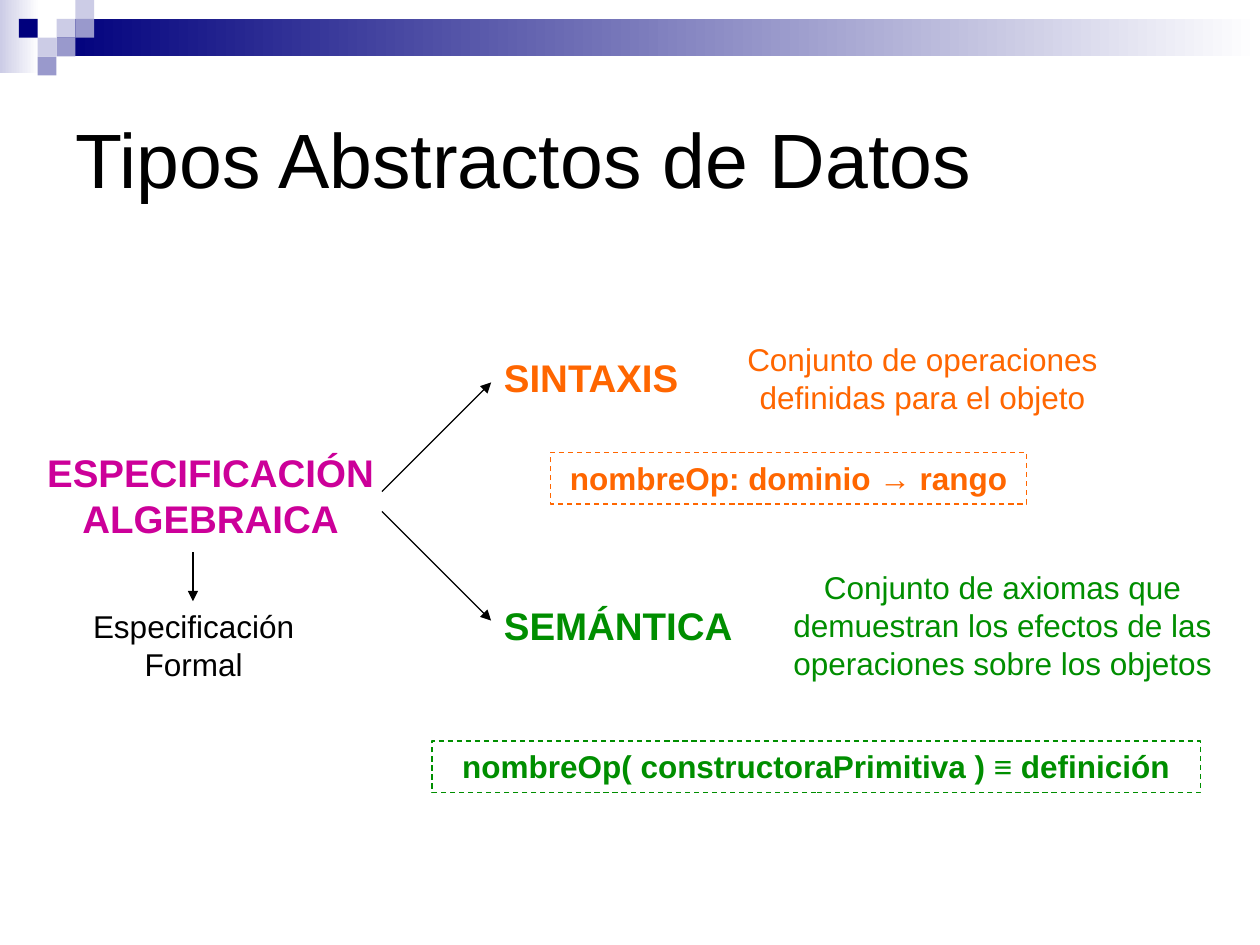
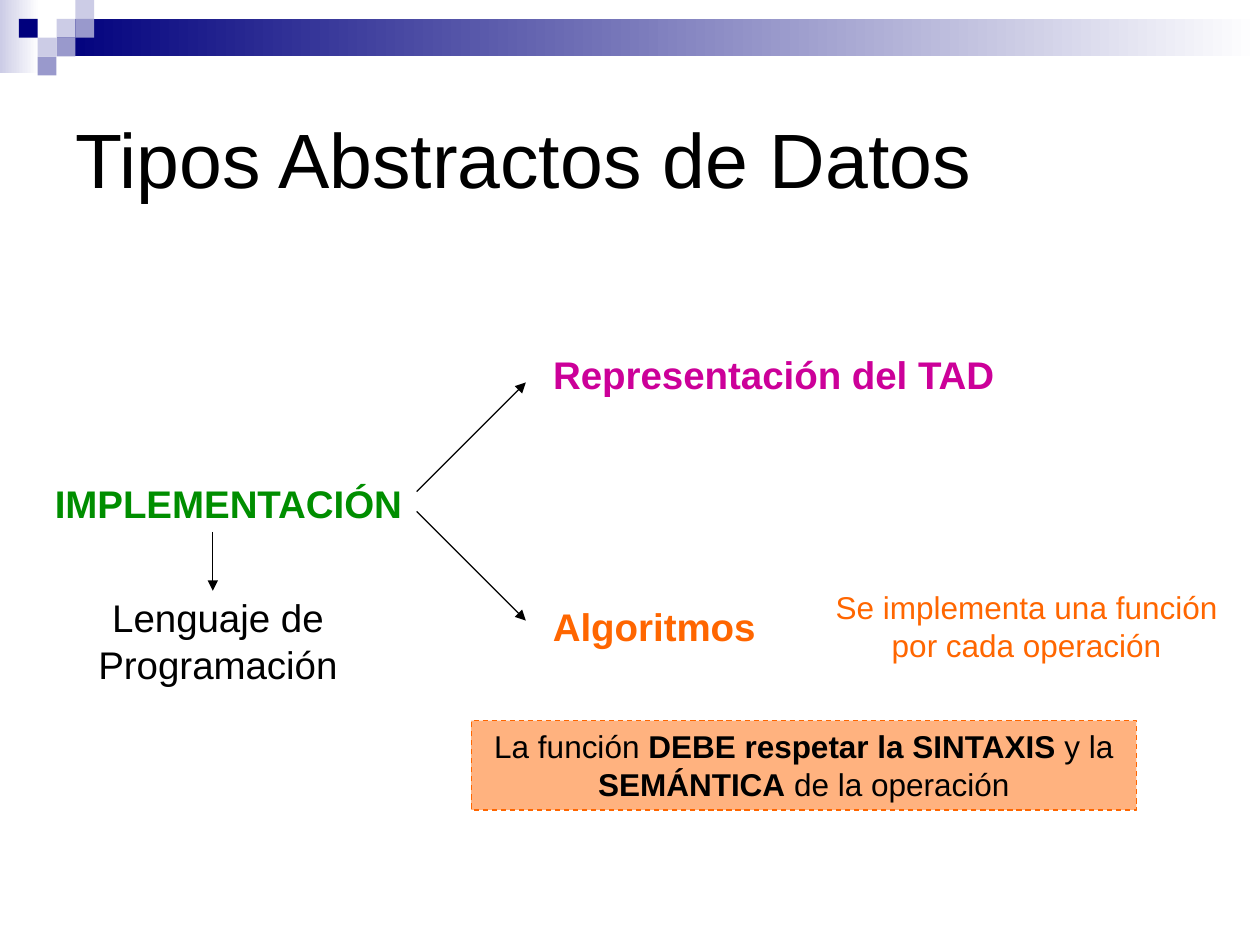
from dataclasses import dataclass

from lxml.etree import SubElement
from pptx import Presentation
from pptx.dml.color import RGBColor
from pptx.enum.dml import MSO_LINE
from pptx.enum.shapes import MSO_CONNECTOR, MSO_SHAPE
from pptx.enum.text import MSO_ANCHOR, MSO_AUTO_SIZE, PP_ALIGN
from pptx.oxml.ns import qn
from pptx.util import Cm, Pt


@dataclass(frozen=True)
class Theme:
    font: str = "Arial"
    title_size: int = 44
    label_size: int = 22
    note_size: int = 18
    line_width: float = 0.75
    black: str = "000000"
    white: str = "FFFFFF"
    orange: str = "FF6600"
    green: str = "008E00"
    magenta: str = "CC0099"
    navy: str = "00007D"
    lilac: str = "9999CC"
    pale: str = "CCCCE6"


THEME = Theme()
TITLE = "Tipos Abstractos de Datos"
TITLE_BOX = (1.27, 1.27, 22.86, 3.81)

# Header: gradient bars as (box, colour), squares as (column, row, colour)
HEADER_BARS = [
    ((0, 0, 0.79, 1.47), THEME.pale),
    ((1.14, 0.38, 24.26, 0.76), THEME.navy),
]
SQUARE = 0.38
HEADER_SQUARES = [
    (3, 1, THEME.pale), (4, 0, THEME.pale), (4, 1, THEME.lilac),
    (2, 2, THEME.pale), (1, 1, THEME.navy), (3, 2, THEME.lilac),
    (2, 3, THEME.lilac),
]

# Fork: two diagonal arrows leaving the main concept
FORK_UPPER, FORK_LOWER, FORK_REACH = 9.91, 10.31, 2.2

# Labels and notes: (box in cm, colour, paragraphs); asterisks enclose bold words
SLIDES = [
    {
        "concept": ((0.69, 8.92, 7.11, 2.11), THEME.magenta,
                    ["ESPECIFICACIÓN", "ALGEBRAICA"]),
        "branches": [
            ((9.91, 6.71, 4.19, 1.8), THEME.orange, ["SINTAXIS"]),
            ((9.91, 11.71, 5.3, 1.8), THEME.green, ["SEMÁNTICA"]),
        ],
        "branch_align": PP_ALIGN.LEFT,
        "notes": [
            ((13.49, 6.73, 10.21, 1.78), THEME.orange,
             ["Conjunto de operaciones definidas para el objeto"]),
            ((15.7, 11.33, 9.02, 2.54), THEME.green,
             ["Conjunto de axiomas que demuestran los efectos de las "
              "operaciones sobre los objetos"]),
            ((1.3, 12.12, 5.21, 1.78), THEME.black, ["Especificación Formal"]),
        ],
        "boxes": [
            ((11.1, 9.12, 9.6, 1.04), THEME.orange,
             ["*nombreOp: dominio → rango*"], None),
            ((8.71, 14.94, 15.49, 1.04), THEME.green,
             ["*nombreOp( constructoraPrimitiva ) ≡ definición*"], None),
        ],
        "fork_x": 7.7,
        "down_arrow": (3.89, 11.13, 12.12),
    },
    {
        "concept": ((0.81, 9.55, 7.59, 1.19), THEME.green, ["IMPLEMENTACIÓN"]),
        "branches": [
            ((9.3, 6.53, 12.6, 2.01), THEME.magenta, ["Representación del TAD"]),
            ((10.69, 11.73, 5, 1.8), THEME.orange, ["Algoritmos"]),
        ],
        "branch_align": PP_ALIGN.CENTER,
        "notes": [
            ((16.1, 11.73, 9.19, 1.78), THEME.orange,
             ["Se implementa una función por cada operación"]),
        ],
        "plain_label": ((1.5, 11.91, 5.79, 2.01), THEME.black,
                        ["Lenguaje de", "Programación"]),
        "boxes": [
            ((9.5, 14.53, 13.41, 1.8), THEME.black,
             ["La función *DEBE respetar la SINTAXIS* y la *SEMÁNTICA* "
              "de la operación"], THEME.orange),
        ],
        "fork_x": 8.4,
        "down_arrow": (4.29, 10.72, 11.91),
    },
]


def rgb(value):
    return RGBColor.from_string(value)


def lengths(box):
    return [Cm(value) for value in box]


def write(shape, paragraphs, color, size, align=PP_ALIGN.CENTER, bold=False,
          wrap=True, anchor=MSO_ANCHOR.TOP):
    frame = shape.text_frame
    frame.word_wrap = wrap
    frame.vertical_anchor = anchor
    if anchor == MSO_ANCHOR.TOP:
        frame.auto_size = MSO_AUTO_SIZE.SHAPE_TO_FIT_TEXT
    for index, text in enumerate(paragraphs):
        paragraph = frame.add_paragraph() if index else frame.paragraphs[0]
        paragraph.alignment = align
        paragraph.font.name = THEME.font
        paragraph.font.size = Pt(size)
        paragraph.font.bold = bold
        paragraph.font.color.rgb = rgb(color)
        for part, words in enumerate(text.split("*")):
            if words:
                run = paragraph.add_run()
                run.text = words
                if part % 2:
                    run.font.bold = True


def add_label(slide, content, align=PP_ALIGN.CENTER, bold=True,
              anchor=MSO_ANCHOR.MIDDLE):
    box, color, paragraphs = content
    write(slide.shapes.add_textbox(*lengths(box)), paragraphs, color,
          THEME.label_size, align, bold, wrap=False, anchor=anchor)


def add_rectangle(slide, box):
    shape = slide.shapes.add_shape(MSO_SHAPE.RECTANGLE, *lengths(box))
    shape.shadow.inherit = False
    return shape


def add_dashed_box(slide, box, color, paragraphs, tint):
    shape = add_rectangle(slide, box)
    if tint:
        shape.fill.solid()
        shape.fill.fore_color.rgb = rgb(tint)
        fill_color = shape.element.find(".//" + qn("a:srgbClr"))
        SubElement(fill_color, qn("a:alpha"), val="50000")
    else:
        shape.fill.background()
    shape.line.color.rgb = rgb(tint or color)
    shape.line.width = Pt(THEME.line_width)
    shape.line.dash_style = MSO_LINE.DASH
    write(shape, paragraphs, color, THEME.note_size)


def add_arrow(slide, *ends):
    arrow = slide.shapes.add_connector(MSO_CONNECTOR.STRAIGHT, *lengths(ends))
    arrow.line.color.rgb = rgb(THEME.black)
    arrow.line.width = Pt(THEME.line_width)
    properties = arrow.element.spPr
    SubElement(properties.find(qn("a:ln")), qn("a:tailEnd"), type="triangle")
    SubElement(properties, qn("a:effectLst"))


def add_header(slide, layout):
    """Draw the header once and move it to the layout that all slides share."""
    parts = []
    for box, color in HEADER_BARS:
        bar = add_rectangle(slide, box)
        bar.fill.gradient()
        bar.fill.gradient_angle = 0
        for stop, position, shade in zip(bar.fill.gradient_stops, (0, 1),
                                         (color, THEME.white)):
            stop.position = position
            stop.color.rgb = rgb(shade)
        parts.append(bar)
    for column, row, color in HEADER_SQUARES:
        square = add_rectangle(
            slide, (column * SQUARE, row * SQUARE, SQUARE, SQUARE))
        square.fill.solid()
        square.fill.fore_color.rgb = rgb(color)
        parts.append(square)
    for index, part in enumerate(parts):
        part.line.fill.background()
        part.element.find(".//" + qn("p:cNvPr")).set("id", str(100 + index))
        layout.shapes.element.insert(2 + index, part.element)


def build_slide(slide, content):
    # Title
    title = slide.shapes.title
    title.left, title.top, title.width, title.height = lengths(TITLE_BOX)
    write(title, [TITLE], THEME.black, THEME.title_size, PP_ALIGN.LEFT,
          anchor=MSO_ANCHOR.MIDDLE)

    # Concept, branches and explanations
    add_label(slide, content["concept"], anchor=MSO_ANCHOR.TOP)
    for branch in content["branches"]:
        add_label(slide, branch, content["branch_align"])
    if "plain_label" in content:
        add_label(slide, content["plain_label"], bold=False)
    for box, color, paragraphs in content["notes"]:
        write(slide.shapes.add_textbox(*lengths(box)), paragraphs, color,
              THEME.note_size)
    for dashed_box in content["boxes"]:
        add_dashed_box(slide, *dashed_box)

    # Arrows
    x = content["fork_x"]
    for y, reach in ((FORK_UPPER, -FORK_REACH), (FORK_LOWER, FORK_REACH)):
        add_arrow(slide, x, y, x + FORK_REACH, y + reach)
    x, top, bottom = content["down_arrow"]
    add_arrow(slide, x, top, x, bottom)


presentation = Presentation()
presentation.slide_width, presentation.slide_height = Cm(25.4), Cm(19.05)
title_only = presentation.slide_layouts[5]
for number, slide_content in enumerate(SLIDES):
    new_slide = presentation.slides.add_slide(title_only)
    if number == 0:
        add_header(new_slide, title_only)
    build_slide(new_slide, slide_content)
presentation.save("out.pptx")
